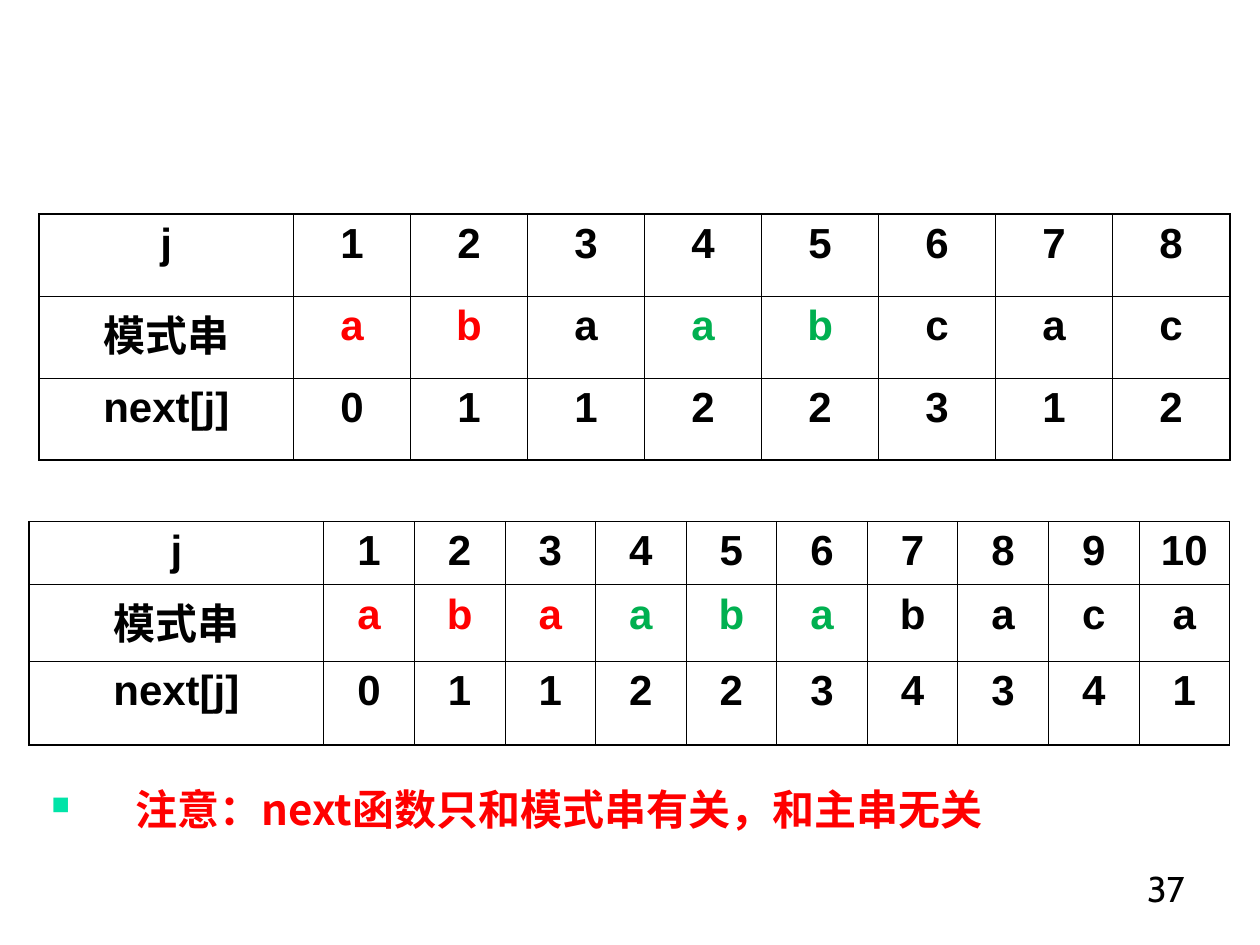
import pptx
import pptx.dml.color
import pptx.enum.text
import pptx.oxml
import pptx.oxml.ns
import pptx.util

Inches = pptx.util.Inches
Pt = pptx.util.Pt
ALIGN = pptx.enum.text.PP_ALIGN

THEME = {
    "ink": "000000", "prefix": "FF0000", "match": "00B050", "bullet": "00E4A8",
    "latin": "Arial", "cjk": "Noto Sans CJK SC", "number": "Cabin",
    "body_size": 24, "number_size": 20.4,
    "thin": 0.45, "thick": 1.08,
}

# "repeat" is the length of the prefix and of its later match, both coloured.
NEXT_TABLES = [
    {"pattern": "abaabcac", "next": [0, 1, 1, 2, 2, 3, 1, 2], "repeat": (2, 3),
     "left": 0.31, "top": 1.7, "width": 9.45, "label_width": 2.02,
     "row_heights": [0.65, 0.65, 0.65]},
    {"pattern": "abaababaca", "next": [0, 1, 1, 2, 2, 3, 4, 3, 4, 1], "repeat": (3, 3),
     "left": 0.23, "top": 4.14, "width": 9.53, "label_width": 2.34,
     "row_heights": [0.5, 0.61, 0.66]},
]
NOTE = "注意：next函数只和模式串有关，和主串无关"
PAGE_NUMBER = "37"


def style(paragraph, latin, size, color, bold=True):
    font = paragraph.font
    font.size = Pt(size)
    font.bold = bold
    font.color.rgb = pptx.dml.color.RGBColor.from_string(color)
    font.name = latin
    properties = paragraph._p.get_or_add_pPr().find(pptx.oxml.ns.qn("a:defRPr"))
    add_xml(properties, f'<a:ea {{ns}} typeface="{THEME["cjk"]}"/>')


def add_xml(parent, markup):
    parent.append(pptx.oxml.parse_xml(markup.format(ns=pptx.oxml.ns.nsdecls("a"))))


def draw_borders(cell, thick_sides):
    for side in "LRTB":
        points = THEME["thick"] if side in thick_sides else THEME["thin"]
        add_xml(cell._tc.get_or_add_tcPr(),
                f'<a:ln{side} {{ns}} w="{round(points * 12700)}"><a:solidFill>'
                f'<a:srgbClr val="{THEME["ink"]}"/></a:solidFill></a:ln{side}>')


def pattern_color(position, repeat):
    """Colour of a pattern letter: prefix, its match, or plain."""
    length, start = repeat
    if position < length:
        return THEME["prefix"]
    if start <= position < start + length:
        return THEME["match"]
    return THEME["ink"]


def add_next_table(slide, content):
    count = len(content["pattern"])
    rows = [["j", *range(1, count + 1)],
            ["模式串", *content["pattern"]],
            ["next[j]", *content["next"]]]
    heights = content["row_heights"]
    table = slide.shapes.add_table(
        len(rows), count + 1, Inches(content["left"]), Inches(content["top"]),
        Inches(content["width"]), Inches(sum(heights))).table
    table.first_row = table.horz_banding = False

    table.columns[0].width = Inches(content["label_width"])
    for column in range(1, count + 1):
        table.columns[column].width = Inches((content["width"] - content["label_width"]) / count)

    for r, values in enumerate(rows):
        table.rows[r].height = Inches(heights[r])
        for c, value in enumerate(values):
            cell = table.cell(r, c)
            edges = {"L": c == 0, "R": c == count, "T": r == 0, "B": r == len(rows) - 1}
            draw_borders(cell, [side for side, outer in edges.items() if outer])
            cell.fill.background()
            cell.text = str(value)
            paragraph = cell.text_frame.paragraphs[0]
            paragraph.alignment = ALIGN.CENTER
            is_letter = r == 1 and c > 0
            color = pattern_color(c - 1, content["repeat"]) if is_letter else THEME["ink"]
            style(paragraph, THEME["latin"], THEME["body_size"], color)


def add_text(slide, text, left, top, width, height):
    frame = slide.shapes.add_textbox(
        Inches(left), Inches(top), Inches(width), Inches(height)).text_frame
    frame.word_wrap = True
    frame.text = text
    return frame.paragraphs[0]


def main():
    deck = pptx.Presentation()
    deck.slide_width, deck.slide_height = Inches(10), Inches(7.5)
    slide = deck.slides.add_slide(deck.slide_layouts[6])

    number = add_text(slide, PAGE_NUMBER, 7.17, 6.83, 2.33, 0.5)
    number.alignment = ALIGN.RIGHT
    style(number, THEME["number"], THEME["number_size"], THEME["ink"], bold=False)

    for content in NEXT_TABLES:
        add_next_table(slide, content)

    note = add_text(slide, NOTE, 0.31, 6.17, 8.36, 0.55)
    properties = note._p.get_or_add_pPr()
    properties.set("marL", str(Inches(0.67)))
    properties.set("indent", str(-Inches(0.67)))
    add_xml(properties, f'<a:buClr {{ns}}><a:srgbClr val="{THEME["bullet"]}"/></a:buClr>')
    add_xml(properties, '<a:buSzPct {ns} val="60000"/>')
    add_xml(properties, '<a:buChar {ns} char="■"/>')
    style(note, THEME["cjk"], THEME["body_size"], THEME["prefix"])

    deck.save("out.pptx")


if __name__ == "__main__":
    main()
